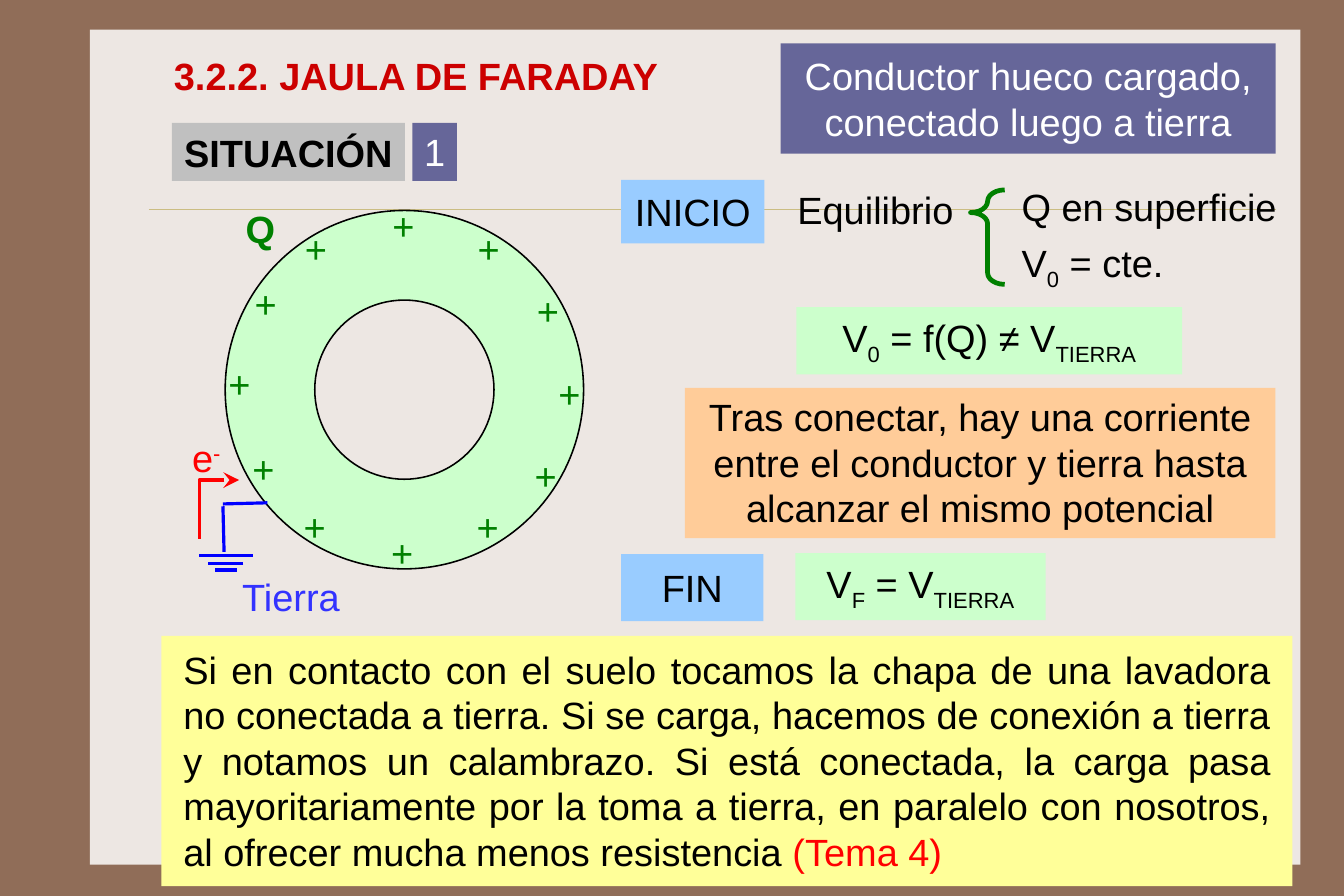
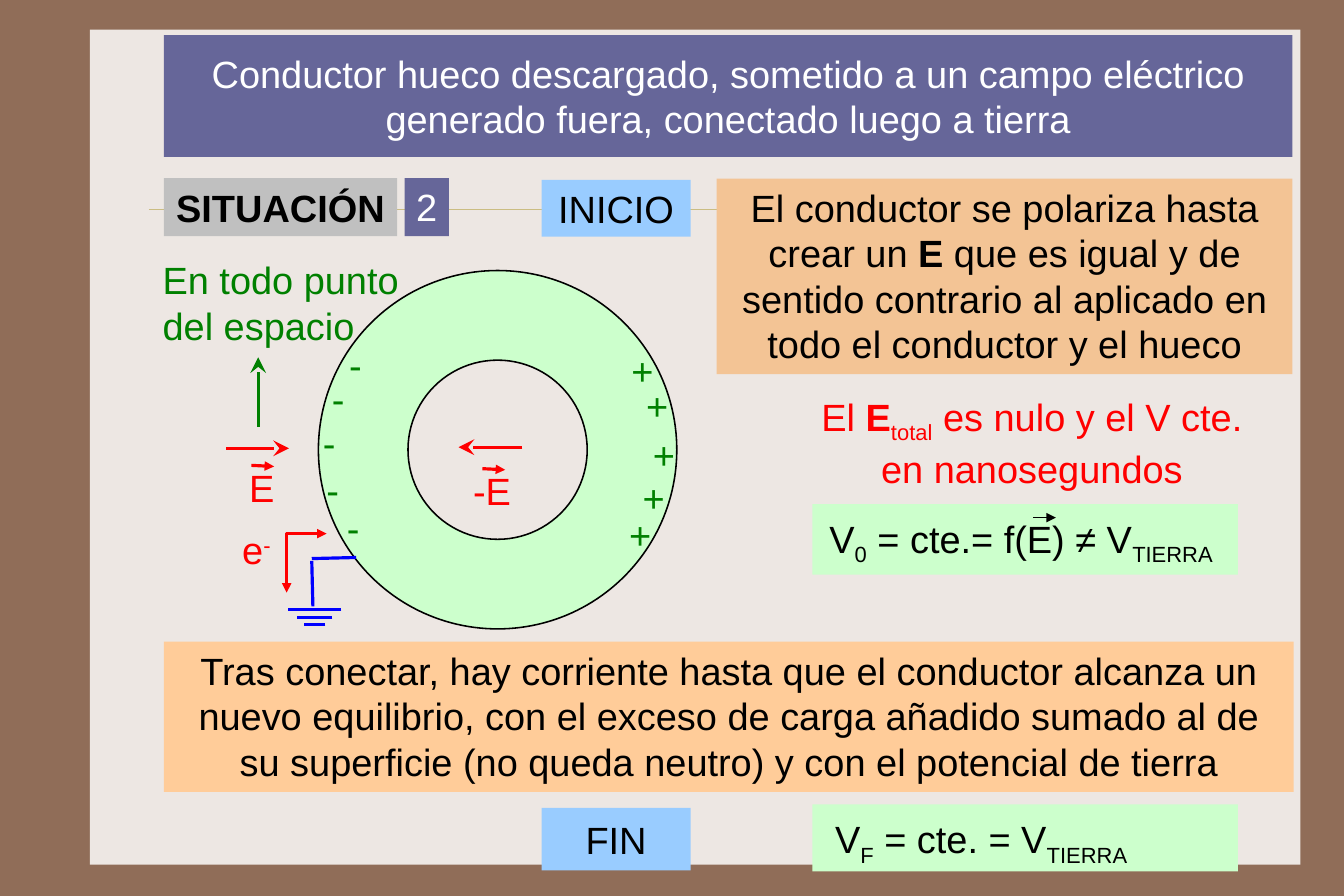
"""Build two slides on the Faraday cage."""
from dataclasses import dataclass
from typing import NamedTuple

from lxml import etree
from pptx import Presentation
from pptx import util as u
from pptx.dml.color import RGBColor
from pptx.enum import shapes, text
from pptx.oxml.ns import qn

BROWN = RGBColor(0x90, 0x6D, 0x58)
CREAM = RGBColor(0xED, 0xE7, 0xE3)
SAND = RGBColor(0xCB, 0xBD, 0x83)
SLATE = RGBColor(0x66, 0x66, 0x99)
MINT = RGBColor(0xCC, 0xFF, 0xCC)
PEACH = RGBColor(0xFF, 0xCC, 0x99)
TAN = RGBColor(0xF3, 0xC4, 0x95)
SKY = RGBColor(0x99, 0xCC, 0xFF)
LEMON = RGBColor(0xFF, 0xFF, 0x99)
GREY = RGBColor(0xC0, 0xC0, 0xC0)
BLACK = RGBColor(0, 0, 0)
WHITE = RGBColor(0xFF, 0xFF, 0xFF)
GREEN = RGBColor(0, 0x80, 0)
RED = RGBColor(0xFF, 0, 0)
DARK_RED = RGBColor(0xCC, 0, 0)
BLUE = RGBColor(0, 0, 0xFF)
INDIGO = RGBColor(0x33, 0x33, 0xFF)

FONT = "Arial"
SIZE = u.Pt(24)
LEAD = u.Pt(28.8)
LEFT = text.PP_ALIGN.LEFT
MID = text.PP_ALIGN.CENTER
FULL = text.PP_ALIGN.JUSTIFY
TOP = text.MSO_ANCHOR.TOP
HALF = text.MSO_ANCHOR.MIDDLE
SUB = -25
RING = 226.8
HEADS = {"stealth": "lg", "triangle": "med"}


class Box(NamedTuple):
    x: float
    y: float
    w: float
    h: float


class Spot(NamedTuple):
    x: float
    y: float


@dataclass(frozen=True)
class Run:
    words: str
    bold: bool = False
    base: int = 0
    color: RGBColor | None = None


@dataclass(frozen=True)
class Stroke:
    start: Spot
    end: Spot
    color: RGBColor
    width: float = 2
    tail: str | None = None


@dataclass(frozen=True)
class Charge:
    sign: str
    width: float
    spots: tuple[Spot, ...]


def points(nums) -> list:
    return [u.Pt(num) for num in nums]


def put(slide, words: str | list[Run], box: Box, *, fill=None, color=BLACK,
        bold=False, align=LEFT, anchor=TOP, pad=(7.2, 3.6), wrap=True) -> None:
    if fill is None:
        shape = slide.shapes.add_textbox(*points(box))
    else:
        shape = solid(slide, shapes.MSO_SHAPE.RECTANGLE, box, fill)
    frame = shape.text_frame
    frame.word_wrap = wrap
    frame.vertical_anchor = anchor
    frame.margin_left = frame.margin_right = u.Pt(pad[0])
    frame.margin_top = frame.margin_bottom = u.Pt(pad[1])
    para = frame.paragraphs[0]
    para.alignment = align
    runs = [Run(words)] if isinstance(words, str) else words
    if not any(run.base for run in runs):
        para.line_spacing = LEAD
    for run in runs:
        part = para.add_run()
        part.text = run.words
        part.font.name, part.font.size = FONT, SIZE
        part.font.bold = bold or run.bold
        part.font.color.rgb = run.color or color
        if run.base:
            part._r.get_or_add_rPr().set("baseline", str(run.base * 1000))


def solid(slide, kind, box: Box, fill=None, edge=None, width: float = 1):
    shape = slide.shapes.add_shape(kind, *points(box))
    shape.shadow.inherit = False
    if fill is None:
        shape.fill.background()
    else:
        shape.fill.solid()
        shape.fill.fore_color.rgb = fill
    if edge is None:
        shape.line.fill.background()
    else:
        ink(shape, edge, width)
    return shape


def ink(shape, color: RGBColor, width: float, head=None, tail=None) -> None:
    shape.line.color.rgb = color
    shape.line.width = u.Pt(width)
    line = shape._element.spPr.find(qn("a:ln"))
    for tag, kind in (("a:headEnd", head), ("a:tailEnd", tail)):
        if kind:
            etree.SubElement(line, qn(tag), type=kind, w=HEADS[kind], len=HEADS[kind])


def draw(slide, stroke: Stroke) -> None:
    line = slide.shapes.add_connector(
        shapes.MSO_CONNECTOR.STRAIGHT, *points(stroke.start + stroke.end))
    ink(line, stroke.color, stroke.width, tail=stroke.tail)
    etree.SubElement(line._element.spPr, qn("a:effectLst"))


def sheet(deck):
    slide = deck.slides.add_slide(deck.slide_layouts[6])
    solid(slide, shapes.MSO_SHAPE.RECTANGLE, Box(56.9, 18.7, 766, 528.5), CREAM)
    draw(slide, Stroke(Spot(94.3, 132.5), Spot(807.8, 132.5), SAND, 0.25))
    return slide


def ring(slide, spot: Spot, *charges: Charge) -> None:
    shape = solid(slide, shapes.MSO_SHAPE.DONUT, Box(*spot, RING, RING), MINT, BLACK)
    shape.adjustments[0] = 0.25
    for charge in charges:
        for place in charge.spots:
            put(slide, charge.sign, Box(*place, charge.width, 36),
                color=GREEN, wrap=False)


def ground(slide, x: float, y: float) -> None:
    draw(slide, Stroke(Spot(x + 43.2, y), Spot(x + 15.1, y + 0.7), BLUE))
    draw(slide, Stroke(Spot(x + 15.1, y + 2.2), Spot(x + 15.8, y + 31), BLUE))
    for half, drop in ((16.9, 33.1), (11.2, 38.2), (6.8, 42.5)):
        draw(slide, Stroke(Spot(x + 16.9 + half, y + drop),
                           Spot(x + 16.9 - half, y + drop), BLUE))


def flow(slide, bend: Spot, label: Spot, head: str, tail: str | None = None) -> None:
    start, turn, end = ((u.Pt(x), u.Pt(y)) for x, y in (
        (bend.x + 25.3, bend.y), bend, (bend.x, bend.y + 37.4)))
    build = slide.shapes.build_freeform(*start)
    build.add_line_segments([turn, end], close=False)
    shape = build.convert_to_shape()
    shape.shadow.inherit = False
    shape.fill.background()
    ink(shape, RED, 2, head, tail)
    put(slide, [Run("e"), Run("-", base=30)], Box(*label, 33.1, 42.5),
        color=RED, pad=(7.2, 6.5), wrap=False)


def case(slide, num: str, x: float, y: float) -> None:
    put(slide, "SITUACIÓN", Box(x, y, 147.6, 36.7), fill=GREY, bold=True,
        align=MID, anchor=HALF, wrap=False)
    put(slide, num, Box(x + 152.3, y, 28.1, 36.7), fill=SLATE, color=WHITE,
        align=MID, wrap=False)


def stage(slide, words: str, box: Box) -> None:
    put(slide, words, box, fill=SKY, align=MID, anchor=HALF, pad=(7.2, 5.8))


def field(slide, words: str, box: Box, vec: Spot, start: Spot, end: Spot) -> None:
    put(slide, words, box, color=RED, wrap=False)
    draw(slide, Stroke(vec, Spot(vec.x + 14.4, vec.y + 0.7), RED, tail="triangle"))
    draw(slide, Stroke(start, end, RED, tail="stealth"))


def first(deck) -> None:
    slide = sheet(deck)
    put(slide, "Conductor hueco cargado, conectado luego a tierra",
        Box(494, 27.4, 313.2, 69.8), fill=SLATE, color=WHITE, align=MID,
        anchor=HALF, pad=(5.8, 5.8))
    ring(slide, Spot(142.5, 133.2), Charge("+", 28.1, (
        Spot(241.2, 124.6), Spot(295.2, 139), Spot(332.6, 178.6),
        Spot(346.3, 231.1), Spot(331.2, 283), Spot(294.5, 315.4),
        Spot(240.5, 331.9), Spot(185, 315.4), Spot(152.6, 278.6),
        Spot(137.5, 224.6), Spot(154.1, 174.2), Spot(185.8, 139))))
    put(slide, [Run("V"), Run("F", base=SUB), Run(" = V"), Run("TIERRA", base=SUB)],
        Box(503.3, 350, 158.4, 42.5), fill=MINT, align=MID, anchor=HALF, pad=(7.2, 6.5))
    put(slide, "Tras conectar, hay una corriente entre el conductor y tierra "
        "hasta alcanzar el mismo potencial", Box(433.4, 245.5, 373.7, 95),
        fill=PEACH, align=MID, pad=(14.4, 3.6))
    put(slide, "Q", Box(148.3, 126.7, 29.5, 31), color=GREEN, bold=True, wrap=False)
    stage(slide, "INICIO", Box(393.1, 113.8, 90.7, 40.3))
    stage(slide, "FIN", Box(393.1, 350.6, 90, 42.5))
    ground(slide, 126, 318.2)
    put(slide, "Tierra", Box(146.2, 359.3, 80, 36), color=INDIGO, wrap=False)
    put(slide, "Equilibrio", Box(497.5, 114.5, 114.5, 36.7), wrap=False)
    put(slide, [Run("V"), Run("0", base=SUB), Run(" = f(Q) ≠ V"),
                Run("TIERRA", base=SUB)], Box(504, 194.4, 244.1, 42.5),
        fill=MINT, align=MID, anchor=HALF, pad=(7.2, 6.5))
    put(slide, [Run("V"), Run("0", base=SUB), Run(" = cte.")],
        Box(639.4, 148.3, 110, 31), wrap=False)
    put(slide, "Q en superficie", Box(639.4, 112.3, 177.1, 36.7), wrap=False)
    brace = solid(slide, shapes.MSO_SHAPE.LEFT_BRACE,
                  Box(614.2, 120.2, 21.6, 59.8), edge=GREEN, width=3)
    brace.adjustments[0], brace.adjustments[1] = 0.41, 0.24
    flow(slide, Spot(126, 303.8), Spot(114.5, 268.6), "stealth")
    case(slide, "1", 108.7, 77.8)
    put(slide, [Run("Si en contacto con el suelo tocamos la chapa de una lavadora "
                    "no conectada a tierra. Si se carga, hacemos de conexión a "
                    "tierra y notamos un calambrazo. Si está conectada, la carga "
                    "pasa mayoritariamente por la toma a tierra, en paralelo con "
                    "nosotros, al ofrecer mucha menos resistencia "),
                Run("(Tema 4)", color=RED)], Box(102.2, 402.5, 715.7, 158.4),
        fill=LEMON, align=FULL, pad=(13.8, 6.5))
    put(slide, "3.2.2. JAULA DE FARADAY", Box(102.2, 29.5, 335.5, 36.7),
        color=DARK_RED, bold=True, anchor=HALF, pad=(7.9, 3.6))


def second(deck) -> None:
    slide = sheet(deck)
    ring(slide, Spot(201.5, 171.2),
         Charge("+", 28.1, (Spot(392.4, 216.7), Spot(401.8, 238.3), Spot(406.1, 269.3),
                            Spot(399.6, 296.6), Spot(391, 320.4))),
         Charge("-", 22.3, (Spot(213.8, 212.4), Spot(203, 234), Spot(197.3, 262.1),
                            Spot(199.4, 291.6), Spot(212.4, 316.1))))
    put(slide, "Tras conectar, hay corriente hasta que el conductor alcanza un nuevo "
        "equilibrio, con el exceso de carga añadido sumado al de su superficie "
        "(no queda neutro) y con el potencial de tierra",
        Box(103.7, 406.1, 715, 95), fill=PEACH, align=MID, pad=(9.4, 3.6))
    field(slide, "E", Box(150.5, 290.2, 32, 31), Spot(159.1, 294.5),
          Spot(143.3, 283.7), Spot(182.9, 283.7))
    field(slide, "-E", Box(292.3, 292.3, 42, 31), Spot(305.3, 296.6),
          Spot(330.5, 283), Spot(290.2, 283))
    put(slide, [Run("V"), Run("F", base=SUB), Run(" = cte. = V"),
                Run("TIERRA", base=SUB)], Box(514.1, 509, 269.3, 42.5),
        fill=MINT, pad=(14.4, 7.2))
    put(slide, "En todo punto del espacio", Box(95.8, 159.1, 171.4, 65.5), color=GREEN)
    draw(slide, Stroke(Spot(163.4, 270), Spot(163.4, 226.1), GREEN, tail="stealth"))
    put(slide, [Run("El conductor se polariza hasta crear un "), Run("E", bold=True),
                Run(" que es igual y de sentido contrario al aplicado en todo "
                    "el conductor y el hueco")],
        Box(453.6, 113, 364.3, 123.8), fill=TAN, align=MID)
    stage(slide, "INICIO", Box(342.7, 113.8, 94.3, 36))
    stage(slide, "FIN", Box(342.7, 511.2, 94.3, 39.6))
    put(slide, [Run("V"), Run("0", base=SUB), Run(" = cte.= f(E) ≠ V"),
                Run("TIERRA", base=SUB)], Box(514.1, 319, 269.3, 44.6),
        fill=MINT, pad=(10.8, 7.2))
    draw(slide, Stroke(Spot(653.8, 327.6), Spot(668.2, 327.6), BLACK, 1, "triangle"))
    ground(slide, 182.2, 352.8)
    case(slide, "2", 103.7, 112.7)
    put(slide, "Conductor hueco descargado, sometido a un campo eléctrico generado "
        "fuera, conectado luego a tierra", Box(103.7, 22.3, 714.2, 77),
        fill=SLATE, color=WHITE, align=MID, anchor=HALF, pad=(7.2, 9.4))
    put(slide, [Run("El "), Run("E", bold=True), Run("total", base=SUB),
                Run(" es nulo y el V cte. en nanosegundos")],
        Box(504, 245.5, 298.1, 65.5), color=RED, align=MID)
    flow(slide, Spot(181.4, 337.7), Spot(146.2, 326.9), "triangle", "triangle")


def main() -> None:
    deck = Presentation()
    deck.slide_width, deck.slide_height = points((850.5, 567))
    back = deck.slide_master.background.fill
    back.solid()
    back.fore_color.rgb = BROWN
    first(deck)
    second(deck)
    deck.save("out.pptx")


if __name__ == "__main__":
    main()
